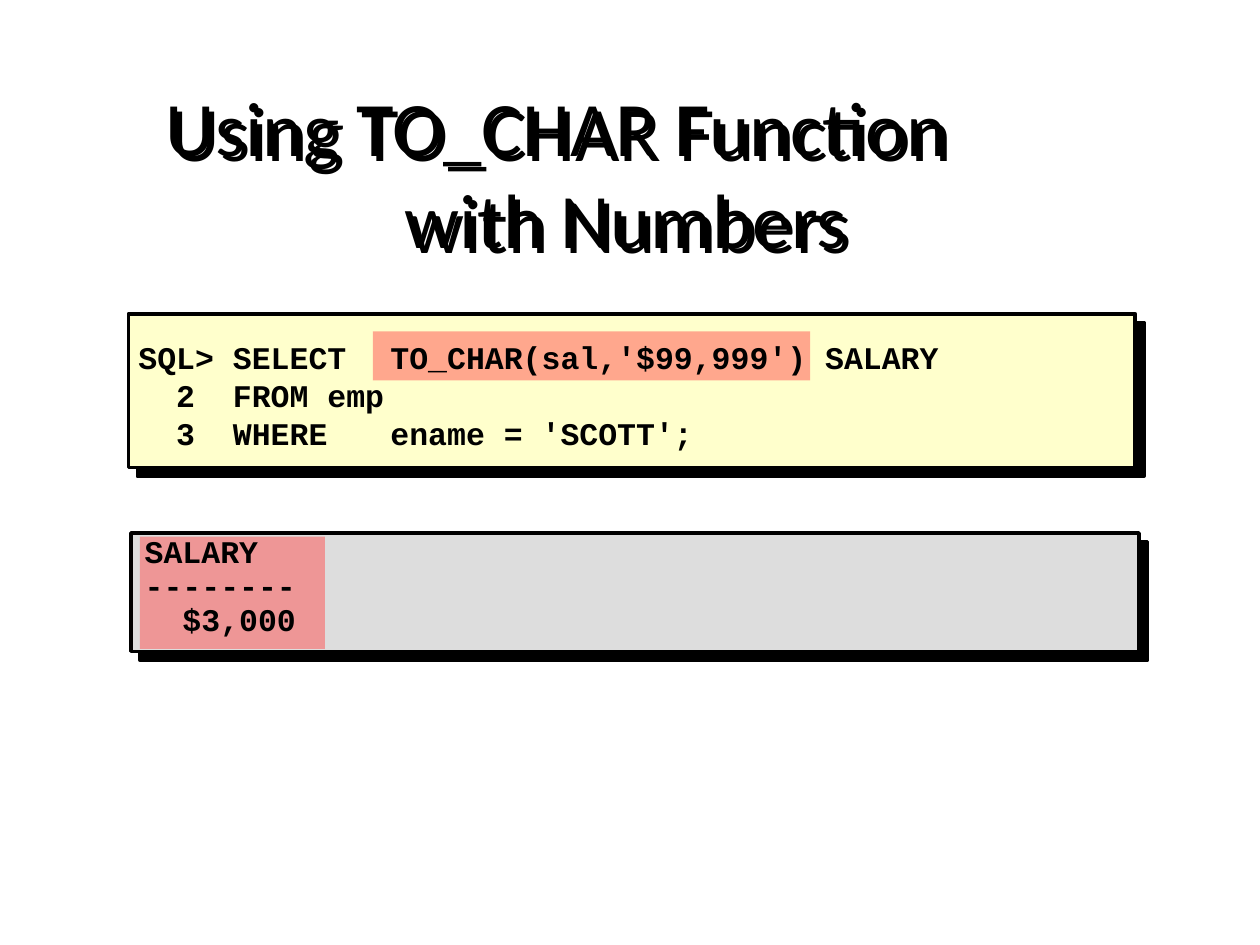
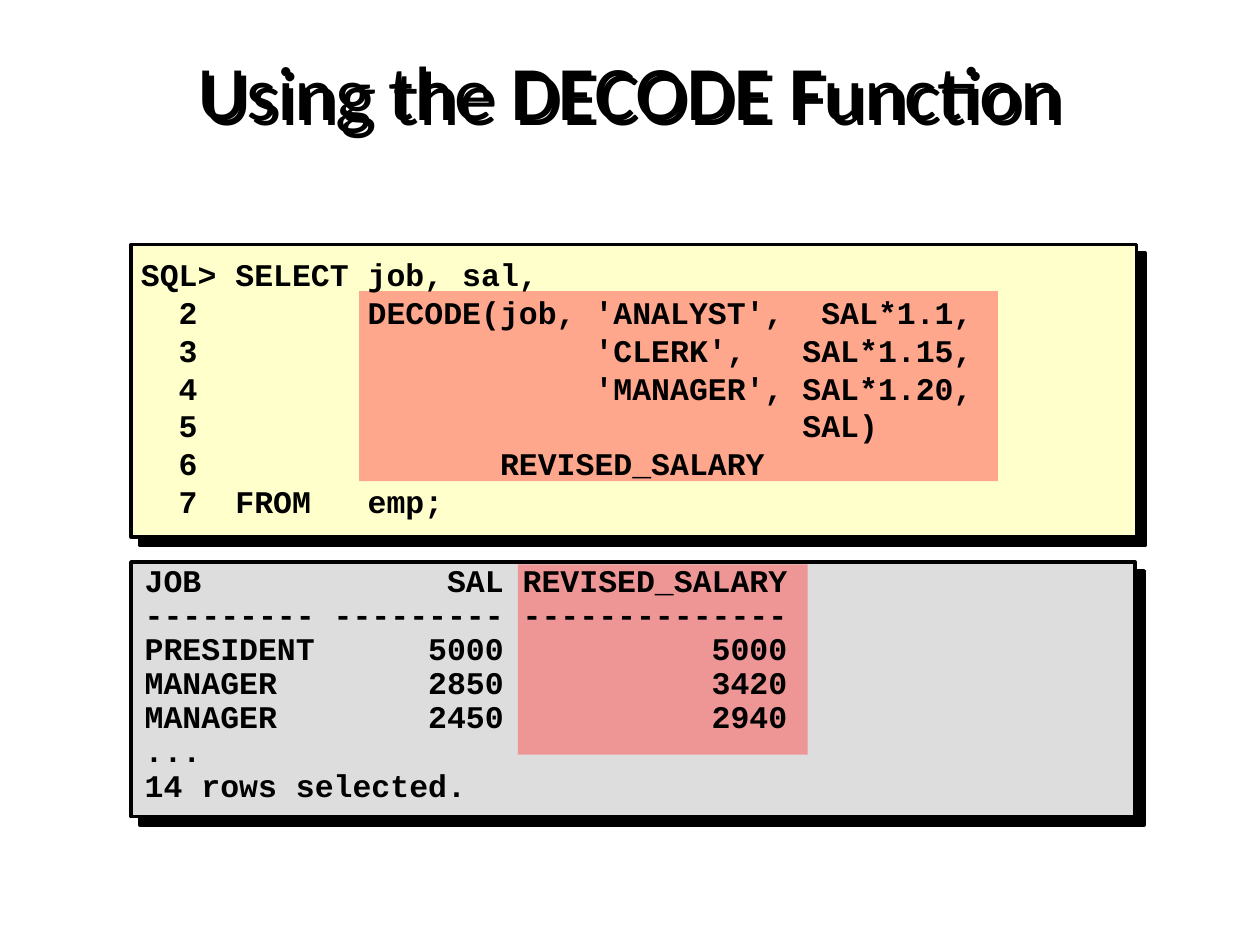
from lxml.etree import SubElement
from pptx import Presentation
from pptx.dml.color import RGBColor
from pptx.enum.shapes import MSO_SHAPE as Shape
from pptx.enum.text import MSO_ANCHOR as Anchor, PP_ALIGN as Align
from pptx.oxml.ns import qn
from pptx.util import Inches, Pt

SLIDE_W, SLIDE_H = Inches(10), Inches(7.5)
COLUMNS, ROWS = 100, 75
BLACK, CODE_FILL, RESULT_FILL, HIGHLIGHT = "000000", "FFFFCC", "DDDDDD", "FF5050"
TITLE_FONT, CODE_FONT = "Calibri", "Courier New"
BOX_SHADOW, TITLE_SHADOW = 7.1, 4
TAB_STOP = 13.1

CONVERT_QUERY = """SQL> SELECT\tTO_CHAR(sal,'$99,999') SALARY
  2  FROM\temp
  3  WHERE\tename = 'SCOTT';"""
CONVERT_RESULT = """SALARY
--------
  $3,000"""
DECODE_QUERY = """SQL> SELECT job, sal,
  2         DECODE(job, 'ANALYST',  SAL*1.1,
  3                     'CLERK',   SAL*1.15,
  4                     'MANAGER', SAL*1.20,
  5                                SAL)
  6                REVISED_SALARY
  7  FROM   emp;"""
DECODE_RESULT = """JOB             SAL REVISED_SALARY
--------- --------- --------------
PRESIDENT      5000           5000
MANAGER        2850           3420
MANAGER        2450           2940
...
14 rows selected."""


def color(code):
    """Turn a hex string into a colour."""
    return RGBColor.from_string(code)


def across(columns):
    """Give the width of a number of grid columns."""
    return round(SLIDE_W * columns / COLUMNS)


def place(left, top, width, height):
    """Turn grid columns and rows into slide lengths."""
    down = SLIDE_H / ROWS
    return across(left), round(top * down), across(width), round(height * down)


def cast_shadow(shape, distance):
    """Give a shape a hard black shadow to the lower right."""
    shape.shadow.inherit = False
    effects = shape.element.spPr.find(qn("a:effectLst"))
    shadow = SubElement(effects, qn("a:outerShdw"), blurRad="0", dist=str(Pt(distance)),
                        dir="2700000", algn="ctr", rotWithShape="0")
    SubElement(shadow, qn("a:srgbClr"), val=BLACK)


def add_rect(slide, frame, fill):
    """Draw a plain filled rectangle."""
    rect = slide.shapes.add_shape(Shape.RECTANGLE, *place(*frame))
    rect.shadow.inherit = False
    rect.fill.solid()
    rect.fill.fore_color.rgb = color(fill)
    rect.line.fill.background()
    return rect


def add_panel(slide, frame, fill):
    """Draw an outlined panel with its shadow."""
    panel = add_rect(slide, frame, fill)
    panel.line.color.rgb = color(BLACK)
    panel.line.width = Pt(2)
    cast_shadow(panel, BOX_SHADOW)


def add_highlight(slide, frame):
    """Draw a half transparent highlight."""
    highlight = add_rect(slide, frame, HIGHLIGHT)
    tint = highlight.element.spPr.find(qn("a:solidFill"))[0]
    SubElement(tint, qn("a:alpha"), val="50000")


def add_text(slide, frame, text, font, size, bold=False, anchor=Anchor.TOP):
    """Add a wrapped text box in one font."""
    box = slide.shapes.add_textbox(*place(*frame))
    body = box.text_frame
    body.word_wrap = True
    body.vertical_anchor = anchor
    body.text = text
    for paragraph in body.paragraphs:
        for run in paragraph.runs:
            run.font.name = font
            run.font.size = Pt(size)
            run.font.bold = bold
            run.font.color.rgb = color(BLACK)
    return box


def add_title(slide, frame, text, step=0):
    """Add a centred, shadowed title whose later lines are indented by step."""
    title = add_text(slide, frame, text, TITLE_FONT, 44)
    cast_shadow(title, TITLE_SHADOW)
    for line, paragraph in enumerate(title.text_frame.paragraphs):
        paragraph.alignment = Align.CENTER
        if line and step:
            paragraph._p.get_or_add_pPr().set("marL", str(across(step)))


def add_listing(slide, frame, text, anchor=Anchor.TOP, spacing=1.0):
    """Add monospaced lines with a tab stop."""
    listing = add_text(slide, frame, text, CODE_FONT, 18, True, anchor)
    for paragraph in listing.text_frame.paragraphs:
        paragraph.line_spacing = spacing
        stops = SubElement(paragraph._p.get_or_add_pPr(), qn("a:tabLst"))
        SubElement(stops, qn("a:tab"), pos=str(across(TAB_STOP)), algn="l")


def add_query(slide, panel, highlight, listing, text):
    """Add a query panel with its highlighted expression."""
    add_panel(slide, panel, CODE_FILL)
    add_highlight(slide, highlight)
    add_listing(slide, listing, text, Anchor.MIDDLE)


def add_result(slide, panel, highlight, text):
    """Add a result panel with its highlighted column."""
    left, top, width, height = panel
    add_panel(slide, panel, RESULT_FILL)
    add_highlight(slide, highlight)
    add_listing(slide, (left + 0.1, top - 0.2, width - 0.4, height - 0.2), text, spacing=0.9)


def main():
    """Build both slides and save them."""
    deck = Presentation()
    deck.slide_width, deck.slide_height = SLIDE_W, SLIDE_H
    blank = deck.slide_layouts[6]

    convert = deck.slides.add_slide(blank)
    add_title(convert, (7.6, 5.8, 73.2, 9.6), "Using TO_CHAR Function\nwith Numbers", 11)
    add_query(convert, (10.2, 24.9, 79.9, 12.2), (29.6, 26.3, 34.7, 3.9),
              (10, 23.5, 80.2, 15.7), CONVERT_QUERY)
    add_result(convert, (10.4, 42.3, 80, 9.4), (11.1, 42.6, 14.7, 8.9), CONVERT_RESULT)

    decode = deck.slides.add_slide(blank)
    add_title(decode, (5, 3, 90, 12.5), "Using the DECODE Function")
    add_query(decode, (10.4, 19.4, 79.8, 23.2), (28.5, 23.1, 50.7, 15.1),
              (10.2, 19, 80, 23.5), DECODE_QUERY)
    add_result(decode, (10.4, 44.6, 79.7, 20.2), (41.1, 44.8, 23, 15.1), DECODE_RESULT)

    deck.save("out.pptx")


if __name__ == "__main__":
    main()
